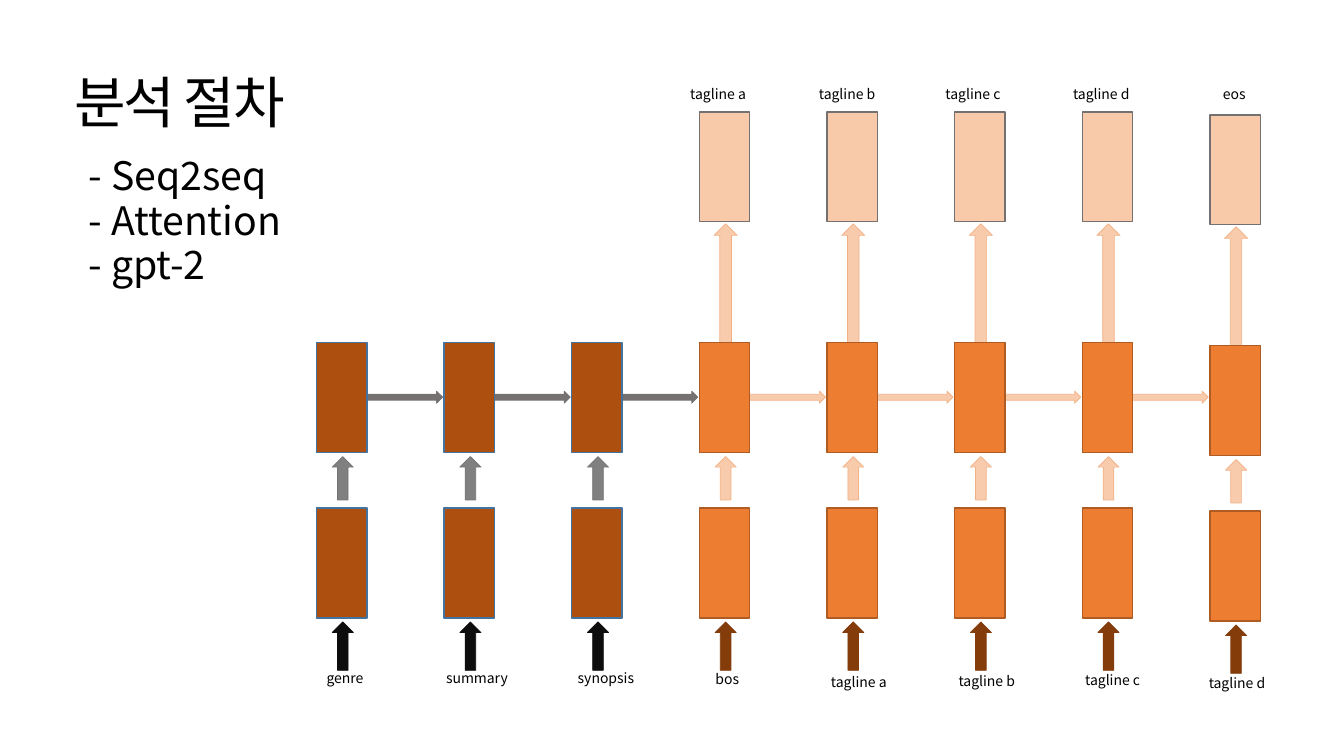
from lxml.etree import SubElement
from pptx import Presentation
from pptx.dml.color import RGBColor
from pptx.enum.shapes import MSO_SHAPE
from pptx.enum.text import MSO_ANCHOR, MSO_AUTO_SIZE, PP_ALIGN
from pptx.oxml.ns import qn
from pptx.util import Inches, Pt

FONT = "Noto Sans CJK KR"
BROWN, ORANGE, PEACH = "AD4F0F", "ED7D31", "F8CAAA"
# Fill and line of each kind of arrow
BLACK, GREY, STEEL = ("0D0D0D", "0D0D0D"), ("808080", "767171"), ("767171", "767171")
RUST, PALE = ("843C0B", "843C0B"), ("F8CBAD", "F4B183")

# Word, shift from the left of its column, top
INPUTS = [("genre", 0, 6.59), ("summary", -0.08, 6.59), ("synopsis", -0.04, 6.59),
          ("bos", 0.06, 6.6), ("tagline a", -0.06, 6.63), ("tagline b", -0.06, 6.62),
          ("tagline c", -0.07, 6.61), ("tagline d", -0.11, 6.64)]
OUTPUTS = [("tagline a", -0.19), ("tagline b", -0.18), ("tagline c", -0.19),
           ("tagline d", -0.19), ("eos", 0.03)]
ENCODERS = len(INPUTS) - len(OUTPUTS)
CELL_W, CELL_H = 0.5, 1.09
OUT_Y, STATE_Y, IN_Y = 1.11, 3.4, 5.04


def color(code):
    return RGBColor.from_string(code)


def style(para, size, font=FONT):
    para.font.size = Pt(size)
    para.font.name = font
    para.font.color.rgb = color("000000")


def place(shape, x, y, w, h):
    shape.left, shape.top = Inches(x), Inches(y)
    shape.width, shape.height = Inches(w), Inches(h)


def draw(slide, kind, box, fill, line, width):
    shape = slide.shapes.add_shape(kind, *map(Inches, box))
    shape.shadow.inherit = False
    shape.fill.solid()
    shape.fill.fore_color.rgb = color(fill)
    shape.line.color.rgb = color(line)
    shape.line.width = Pt(width)


def cell(slide, x, y, fill, line):
    draw(slide, MSO_SHAPE.RECTANGLE, (x, y, CELL_W, CELL_H), fill, line, 1)


def rise(slide, x, y, height, paint, width=0.21):
    """Draw an up arrow centred on the column at x."""
    left = x + (CELL_W - width) / 2 + 0.01
    draw(slide, MSO_SHAPE.UP_ARROW, (left, y, width, height), *paint, 0.5)


def label(slide, x, y, word):
    box = slide.shapes.add_textbox(*map(Inches, (x, y, 1.25, 0.27)))
    box.text_frame.word_wrap = True
    para = box.text_frame.paragraphs[0]
    para.text = word
    style(para, 10)


def title(slide, x, y, w, h):
    shape = slide.shapes.title
    place(shape, x, y, w, h)
    frame = shape.text_frame
    frame.vertical_anchor = MSO_ANCHOR.MIDDLE
    frame.auto_size = MSO_AUTO_SIZE.NONE
    para = frame.paragraphs[0]
    para.alignment = PP_ALIGN.LEFT
    para.line_spacing = 0.9
    style(para, 40, "Noto Sans")
    run = para.add_run()
    run.text = "분석 절차"
    props = run._r.get_or_add_rPr()
    props.set("spc", "-150")
    SubElement(props, qn("a:ea")).set("typeface", FONT)


def models(slide, x, y, w, h):
    shape = slide.placeholders[1]
    place(shape, x, y, w, h)
    frame = shape.text_frame
    frame.auto_size = MSO_AUTO_SIZE.NONE
    frame.text = "- Seq2seq\n- Attention\n- gpt-2"
    for i, para in enumerate(frame.paragraphs):
        props = para._p.get_or_add_pPr()
        props.set("marL", "0")
        props.set("indent", "0")
        SubElement(props, qn("a:buNone"))
        para.line_spacing = 0.8
        para.space_before = Pt(5 if i else 0)
        style(para, 28)


def column(slide, i, x, drop):
    """Draw step i of the network, lowered by drop."""
    encoder = i < ENCODERS
    fill, line = (BROWN, "43739E") if encoder else (ORANGE, "AF5C24")
    if not encoder:
        word, shift = OUTPUTS[i - ENCODERS]
        rise(slide, x, 2.22 + drop, 1.32, PALE, 0.23)
        cell(slide, x, OUT_Y + drop, PEACH, "767171")
        label(slide, x + shift, 0.8, word)
    cell(slide, x, STATE_Y + drop, fill, line)
    cell(slide, x, IN_Y + drop, fill, line)
    rise(slide, x, 4.53 + drop, 0.43, GREY if encoder else PALE)
    rise(slide, x, 6.17 + drop, 0.48, BLACK if encoder else RUST)
    word, shift, top = INPUTS[i]
    label(slide, x + shift, top, word)


def network(slide, left, right):
    """Spread the columns evenly from left to right, joined by arrows."""
    last = len(INPUTS) - 1
    pitch = (right - left) / last
    for i in range(last):
        box = (left + i * pitch + CELL_W, 3.88, 0.75, 0.12)
        paint = STEEL if i < ENCODERS else PALE
        draw(slide, MSO_SHAPE.RIGHT_ARROW, box, *paint, 0.5)
    for i in range(last + 1):
        column(slide, i, left + i * pitch, 0.03 if i == last else 0)


def main():
    deck = Presentation()
    deck.slide_width, deck.slide_height = Inches(13.33), Inches(7.5)
    slide = deck.slides.add_slide(deck.slide_layouts[1])
    models(slide, 0.78, 1.54, 2.75, 1.56)
    title(slide, 0.64, 0.32, 4.53, 1.45)
    network(slide, 3.14, 12)
    deck.save("out.pptx")


if __name__ == "__main__":
    main()
